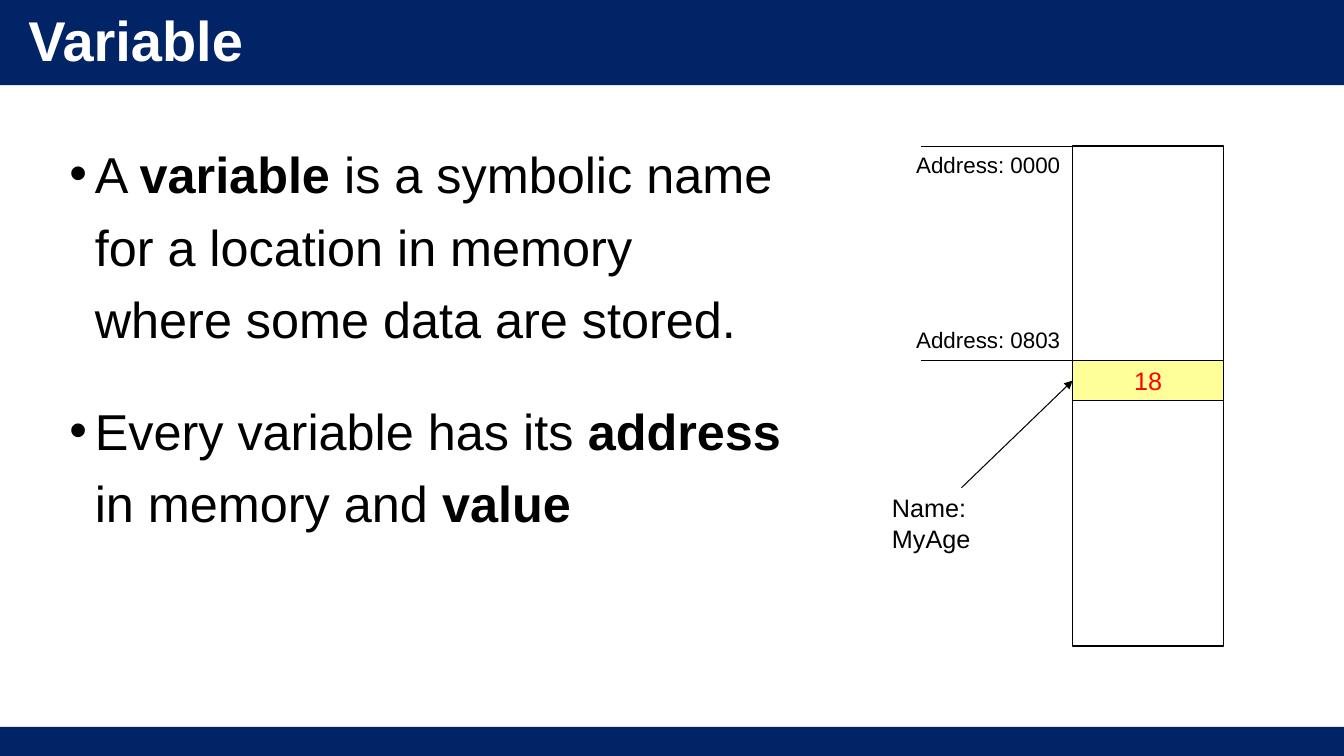
from lxml import etree
from pptx import Presentation
from pptx.dml.color import RGBColor
from pptx.enum.shapes import MSO_CONNECTOR, MSO_SHAPE
from pptx.enum.text import MSO_ANCHOR, MSO_AUTO_SIZE, PP_ALIGN
from pptx.oxml.ns import qn
from pptx.util import Cm, Pt

RECT = MSO_SHAPE.RECTANGLE
STRAIGHT = MSO_CONNECTOR.STRAIGHT
LEFT, CENTER = PP_ALIGN.LEFT, PP_ALIGN.CENTER
TOP, MIDDLE = MSO_ANCHOR.TOP, MSO_ANCHOR.MIDDLE
FONT = "Arial"
COLORS = {"navy": "002466", "white": "FFFFFF", "black": "000000",
          "yellow": "FFFF99", "red": "FF0000"}

TITLE = "Variable"
BULLETS = [
    [("A ", False), ("variable", True),
     (" is a symbolic name for a location in memory where some data are stored.", False)],
    [("Every variable has its ", False), ("address ", True),
     ("in memory and ", False), ("value", True)],
]
VALUE = "18"
NAME = "Name: MyAge"

SLIDE_W, SLIDE_H = 33.87, 19.05
BARS = [(0, 2.15), (18.32, 0.73)]
MEM_X, MEM_Y, MEM_W, MEM_H = 27.03, 3.68, 3.81, 12.6
CELL_Y, CELL_H = 9.09, 1.0
LABEL_W, LABEL_H = 4.19, 0.94
NAME_X, NAME_Y, NAME_W, NAME_H = 22.23, 12.29, 3.2, 1.78
ARROW_X = 24.23
ADDRESSES = [("Address: 0000", MEM_Y, MEM_Y),
             ("Address: 0803", CELL_Y, CELL_Y - LABEL_H - 0.05)]

prs = Presentation()
prs.slide_width, prs.slide_height = Cm(SLIDE_W), Cm(SLIDE_H)
s = prs.slides.add_slide(prs.slide_layouts[5])


def rgb(name):
    return RGBColor.from_string(COLORS[name])


def add_run(p, text, size, color="black", bold=False):
    r = p.add_run()
    r.text = text
    r.font.name, r.font.size, r.font.bold = FONT, Pt(size), bold
    r.font.color.rgb = rgb(color)


def add_rect(x, y, w, h, fill=None, line=None):
    sp = s.shapes.add_shape(RECT, Cm(x), Cm(y), Cm(w), Cm(h))
    sp.shadow.inherit = False
    if fill:
        sp.fill.solid()
        sp.fill.fore_color.rgb = rgb(fill)
    else:
        sp.fill.background()
    if line:
        sp.line.color.rgb = rgb(line)
        sp.line.width = Pt(0.75)
    else:
        sp.line.fill.background()
    return sp


def add_text_box(x, y, w, h):
    tf = s.shapes.add_textbox(Cm(x), Cm(y), Cm(w), Cm(h)).text_frame
    tf.word_wrap = True
    tf.vertical_anchor = TOP
    return tf


def add_line(x1, y1, x2, y2):
    ln = s.shapes.add_connector(STRAIGHT, Cm(x1), Cm(y1), Cm(x2), Cm(y2))
    ln.line.color.rgb = rgb("black")
    ln.line.width = Pt(0.75)
    etree.SubElement(ln.element.spPr, qn("a:effectLst"))
    return ln


def add_bullet(p):
    pPr = p._p.get_or_add_pPr()
    pPr.set("marL", str(Cm(0.64)))
    pPr.set("indent", str(-Cm(0.64)))
    etree.SubElement(pPr, qn("a:buFont")).set("typeface", FONT)
    etree.SubElement(pPr, qn("a:buChar")).set("char", "•")


for y, h in BARS:
    add_rect(0, y, SLIDE_W, h, "navy")

title = s.shapes.title
title.element.getparent().append(title.element)
title.left, title.top, title.width, title.height = Cm(0.46), Cm(0.36), Cm(19.86), Cm(1.45)
tf = title.text_frame
tf.auto_size = MSO_AUTO_SIZE.NONE
tf.vertical_anchor = MIDDLE
p = tf.paragraphs[0]
p.alignment, p.line_spacing = LEFT, 0.9
add_run(p, TITLE, 40, "white", True)

tf = add_text_box(1.5, 3.18, 18.49, 13.89)
for i, runs in enumerate(BULLETS):
    p = tf.add_paragraph() if i else tf.paragraphs[0]
    p.line_spacing, p.space_before, p.space_after = 1.2, Pt(10), Pt(18)
    add_bullet(p)
    for text, bold in runs:
        add_run(p, text, 36, bold=bold)

add_rect(MEM_X, MEM_Y, MEM_W, MEM_H, line="black")
cell = add_rect(MEM_X, CELL_Y, MEM_W, CELL_H, "yellow", "black")
tf = cell.text_frame
tf.word_wrap = False
tf.vertical_anchor = MIDDLE
p = tf.paragraphs[0]
p.alignment = CENTER
add_run(p, VALUE, 18, "red")

for text, line_y, label_y in ADDRESSES:
    add_line(MEM_X, line_y, MEM_X - MEM_W, line_y)
    tf = add_text_box(MEM_X - LABEL_W, label_y, LABEL_W, LABEL_H)
    add_run(tf.paragraphs[0], text, 16)

arrow = add_line(ARROW_X, NAME_Y, MEM_X, CELL_Y + CELL_H / 2)
arrow.end_connect(cell, 1)
etree.SubElement(arrow.line._get_or_add_ln(), qn("a:tailEnd")).set("type", "triangle")
tf = add_text_box(NAME_X, NAME_Y, NAME_W, NAME_H)
add_run(tf.paragraphs[0], NAME, 18)

prs.save("out.pptx")
